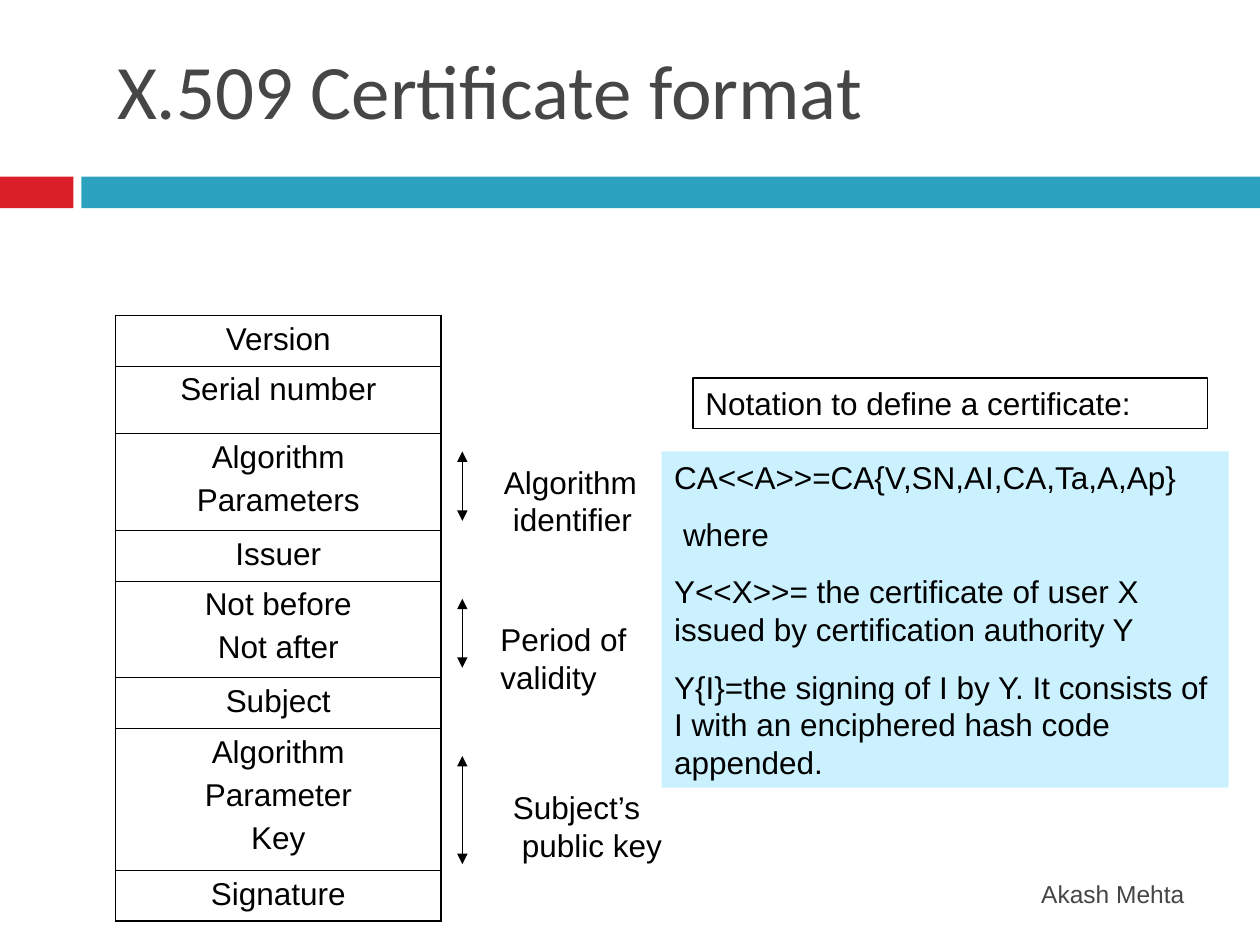
from lxml.etree import SubElement
from pptx import Presentation
from pptx.dml.color import RGBColor
from pptx.enum.shapes import MSO_CONNECTOR, MSO_SHAPE
from pptx.enum.text import MSO_ANCHOR as Anchor, PP_ALIGN as Align
from pptx.oxml import parse_xml
from pptx.oxml.ns import nsdecls, qn
from pptx.util import Cm, Pt


def color(hex_code):
    return RGBColor.from_string(hex_code)


def write(frame, lines, size=18, ink="000000", font="Arial", align=Align.LEFT, gap=0):
    """Fill a text frame with one formatted paragraph per line."""
    frame.text = "\n".join(lines)
    for number, paragraph in enumerate(frame.paragraphs):
        paragraph.alignment = align
        if number and gap:
            paragraph.space_before = Pt(gap)
        for run in paragraph.runs:
            run.font.size = Pt(size)
            run.font.name = font
            run.font.color.rgb = color(ink)


prs = Presentation()
prs.slide_width, prs.slide_height = Cm(25.4), Cm(19.05)
slide = prs.slides.add_slide(prs.slide_layouts[6])
shapes = slide.shapes

# Band under the title
for left, width, fill in [(0, 1.48, "DA1F28"), (1.64, 23.76, "2DA2BF")]:
    band = shapes.add_shape(MSO_SHAPE.RECTANGLE, Cm(left), Cm(3.56), Cm(width), Cm(0.64))
    band.shadow.inherit = False
    band.fill.solid()
    band.fill.fore_color.rgb = color(fill)
    band.line.fill.background()

# Author and title
author = shapes.add_textbox(Cm(16.08), Cm(17.35), Cm(8.05), Cm(1.32)).text_frame
title = shapes.add_textbox(Cm(2.11), Cm(0.2), Cm(22.02), Cm(3.18)).text_frame
for frame in (author, title):
    frame.word_wrap = True
    frame.vertical_anchor = Anchor.MIDDLE
write(author, ["Akash Mehta"], 14, "464646", align=Align.RIGHT)
write(title, ["X.509 Certificate format"], 44, "464646", "Calibri")

# Certificate fields: row height and lines
fields = [
    (1.02, ["Version"]),
    (1.36, ["Serial number"]),
    (1.95, ["Algorithm", "Parameters"]),
    (1.02, ["Issuer"]),
    (1.95, ["Not before", "Not after"]),
    (1.02, ["Subject"]),
    (2.87, ["Algorithm", "Parameter", "Key"]),
    (1.02, ["Signature"]),
]
certificate = shapes.add_table(len(fields), 1, Cm(2.33), Cm(6.36), Cm(6.56), Cm(12.21)).table
certificate.first_row = certificate.horz_banding = False
last = len(fields) - 1
for index, (height, lines) in enumerate(fields):
    certificate.rows[index].height = Cm(height)
    cell = certificate.cell(index, 0)
    cell.fill.background()
    write(cell.text_frame, lines, align=Align.CENTER, gap=4.5)
    # Thick outer frame, thin lines between the rows
    borders = {"L": 1.08, "R": 1.08,
               "T": 1.08 if index == 0 else 0.45,
               "B": 1.08 if index == last else 0.45}
    for place, (side, weight) in enumerate(borders.items()):
        cell._tc.get_or_add_tcPr().insert(place, parse_xml(
            f'<a:ln{side} {nsdecls("a")} w="{Pt(weight)}"><a:solidFill>'
            f'<a:srgbClr val="000000"/></a:solidFill></a:ln{side}>'))

# Field groups: arrow top and bottom, label left, top and width, lines, second line indent
groups = [
    (9.1, 10.5, 9.91, 9.2, 3.4, ["Algorithm", "identifier"], 0.18),
    (12.07, 13.46, 9.84, 12.37, 3.4, ["Period of", "validity"], 0),
    (15.24, 17.42, 10.09, 15.77, 3.6, ["Subject’s", "public key"], 0.18),
]
for top, bottom, label_left, label_top, label_width, lines, indent in groups:
    arrow = shapes.add_connector(MSO_CONNECTOR.STRAIGHT, Cm(9.32), Cm(top), Cm(9.32), Cm(bottom))
    arrow.line.color.rgb = color("000000")
    arrow.line.width = Pt(0.75)
    for end in ("a:headEnd", "a:tailEnd"):
        SubElement(arrow.line._get_or_add_ln(), qn(end), type="triangle")
    SubElement(arrow._element.spPr, qn("a:effectLst"))

    label = shapes.add_textbox(Cm(label_left), Cm(label_top), Cm(label_width), Cm(1.78)).text_frame
    label.word_wrap = True
    write(label, lines)
    if indent:
        second_line = label.paragraphs[1]._p.get_or_add_pPr()
        second_line.set("marL", str(Cm(indent)))
        second_line.set("indent", "0")

# Notation heading and definition
heading = shapes.add_shape(MSO_SHAPE.RECTANGLE, Cm(13.97), Cm(7.62), Cm(10.37), Cm(1.02))
heading.fill.background()
heading.line.color.rgb = color("000000")
heading.line.width = Pt(0.75)
definition = shapes.add_shape(MSO_SHAPE.RECTANGLE, Cm(13.34), Cm(9.1), Cm(11.43), Cm(6.78))
definition.fill.solid()
definition.fill.fore_color.rgb = color("CBF1FF")
definition.line.fill.background()
for box, lines in [
    (heading, ["Notation to define a certificate:"]),
    (definition, [
        "CA<<A>>=CA{V,SN,AI,CA,Ta,A,Ap}",
        "where",
        "Y<<X>>= the certificate of user X issued by certification authority Y",
        "Y{I}=the signing of I by Y. It consists of I with an enciphered hash code appended.",
    ]),
]:
    box.shadow.inherit = False
    box.text_frame.word_wrap = True
    box.text_frame.vertical_anchor = Anchor.TOP
    write(box.text_frame, lines, gap=11.2)
where = definition.text_frame.paragraphs[1]._p.get_or_add_pPr()
where.set("marL", str(Cm(0.18)))
where.set("indent", "0")

prs.save("out.pptx")
